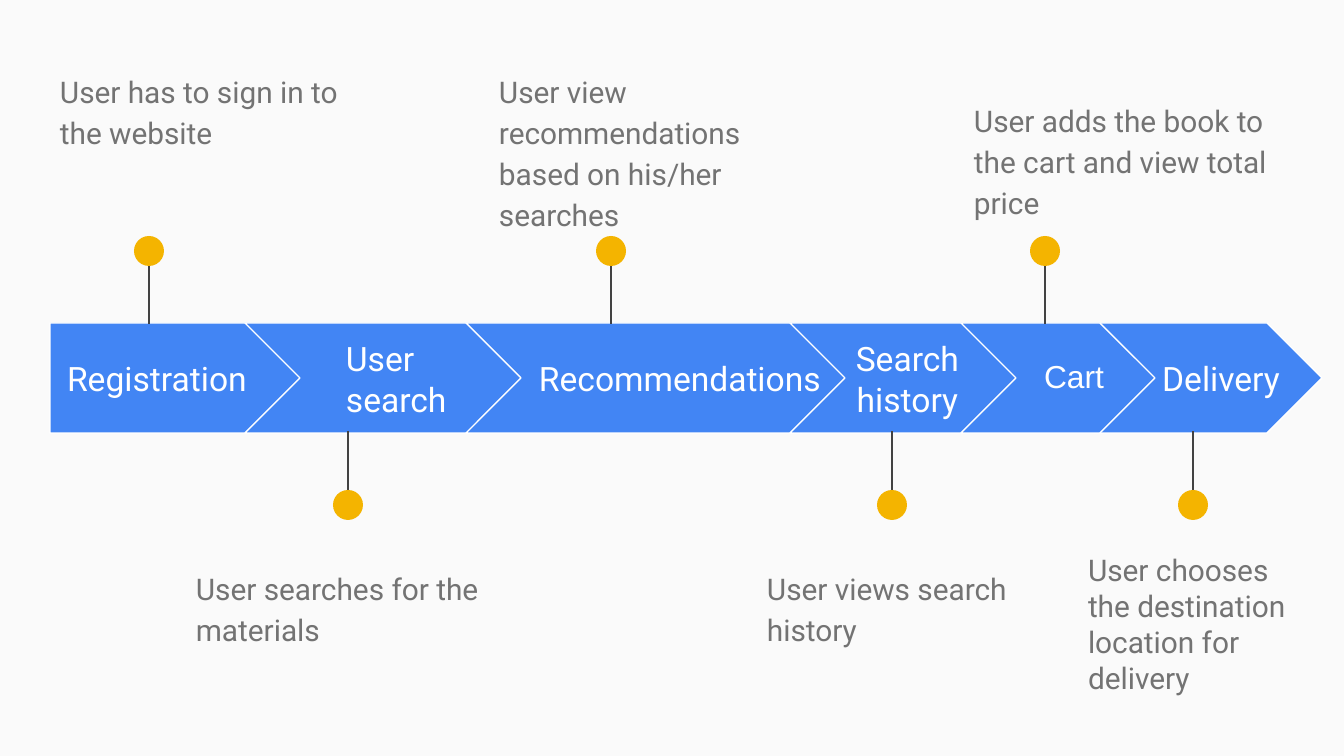
from collections import namedtuple

from lxml import etree
from pptx import Presentation
from pptx.dml.color import RGBColor
from pptx.enum.shapes import MSO_CONNECTOR, MSO_SHAPE
from pptx.enum.text import MSO_ANCHOR, PP_ALIGN
from pptx.oxml.ns import qn
from pptx.util import Emu, Pt

PENTAGON, CHEVRON, OVAL = MSO_SHAPE.PENTAGON, MSO_SHAPE.CHEVRON, MSO_SHAPE.OVAL
STRAIGHT = MSO_CONNECTOR.STRAIGHT
TOP, MIDDLE = MSO_ANCHOR.TOP, MSO_ANCHOR.MIDDLE
LEFT, CENTER = PP_ALIGN.LEFT, PP_ALIGN.CENTER

Theme = namedtuple("Theme", "page arrow edge stem dot label note label_size cart_size note_size font cart_font")
theme = Theme(
    page=RGBColor(0xFA, 0xFA, 0xFA),
    arrow=RGBColor(0x42, 0x85, 0xF4),
    edge=RGBColor(0xFF, 0xFF, 0xFF),
    stem=RGBColor(0x42, 0x42, 0x42),
    dot=RGBColor(0xF4, 0xB4, 0x00),
    label=RGBColor(0xFF, 0xFF, 0xFF),
    note=RGBColor(0x73, 0x73, 0x73),
    label_size=Pt(18),
    cart_size=Pt(17),
    note_size=Pt(16),
    font="Roboto",
    cart_font="Arial",
)

ARROW_TOP, ARROW_H = 323, 110
LABEL_TOP, LABEL_H = 344, 69
DOT = 30


def px(n):
    return Emu(round(n * 914400 / 134.4))


def add_text(box, text, size, color, font=theme.font, align=LEFT, anchor=TOP, spacing=1.0):
    sp = s.shapes.add_textbox(*map(px, box))
    tf = sp.text_frame
    tf.word_wrap = True
    tf.vertical_anchor = anchor
    tf.margin_left = tf.margin_right = tf.margin_top = tf.margin_bottom = px(13)
    p = tf.paragraphs[0]
    p.alignment = align
    p.line_spacing = spacing
    r = p.add_run()
    r.text = text
    r.font.name = font
    r.font.size = size
    r.font.color.rgb = color


prs = Presentation()
prs.slide_width, prs.slide_height = px(1344), px(756)
s = prs.slides.add_slide(prs.slide_layouts[6])
s.background.fill.solid()
s.background.fill.fore_color.rgb = theme.page

arrows = [(50, 255), (245, 282), (466, 391), (790, 228), (1094, 228), (961, 194)]
for i, (left, width) in enumerate(arrows):
    kind = CHEVRON if i else PENTAGON
    sp = s.shapes.add_shape(kind, px(left), px(ARROW_TOP), px(width), px(ARROW_H))
    sp.adjustments[0] = 0.5
    sp.shadow.inherit = False
    sp.fill.solid()
    sp.fill.fore_color.rgb = theme.arrow
    sp.line.color.rgb = theme.edge
    sp.line.width = Pt(0.75)

labels = [
    ("Registration", 50, 214, CENTER),
    ("User search", 333, 194, LEFT),
    ("Recommendations", 490, 380, CENTER),
    ("Search history", 796, 223, CENTER),
    ("Delivery", 1145, 152, CENTER),
]
for text, left, width, align in labels:
    add_text((left, LABEL_TOP, width, LABEL_H), text, theme.label_size, theme.label,
             align=align, anchor=MIDDLE)
add_text((1031, LABEL_TOP, 90, 40), "Cart", theme.cart_size, theme.label, font=theme.cart_font)

pins_above = [(149, True), (348, False), (611, True), (892, False), (1045, True), (1193, False)]
for x, above in pins_above:
    dot_top, start, end = (236, 242, 324) if above else (490, 513, 431)
    pin = s.shapes.add_group_shape()
    stem = pin.shapes.add_connector(STRAIGHT, px(x), px(start), px(x), px(end))
    stem.line.color.rgb = theme.stem
    stem.line.width = Pt(0.75)
    etree.SubElement(stem.element.spPr, qn("a:effectLst"))
    dot = pin.shapes.add_shape(OVAL, px(x - DOT / 2), px(dot_top), px(DOT), px(DOT))
    dot.shadow.inherit = False
    dot.fill.solid()
    dot.fill.fore_color.rgb = theme.dot
    dot.line.fill.background()

notes = [
    ("User has to sign in to the website", (47, 55, 329, 133), 1.15),
    ("User searches for the materials", (183, 552, 329, 133), 1.15),
    ("User view recommendations based on his/her searches", (486, 55, 329, 133), 1.15),
    ("User views search history", (754, 552, 329, 133), 1.15),
    ("User adds the book to the cart and view total price", (961, 84, 329, 133), 1.15),
    ("User chooses the destination location for delivery", (1075, 539, 235, 173), 1.0),
]
for text, box, spacing in notes:
    add_text(box, text, theme.note_size, theme.note, spacing=spacing)

prs.save("out.pptx")
